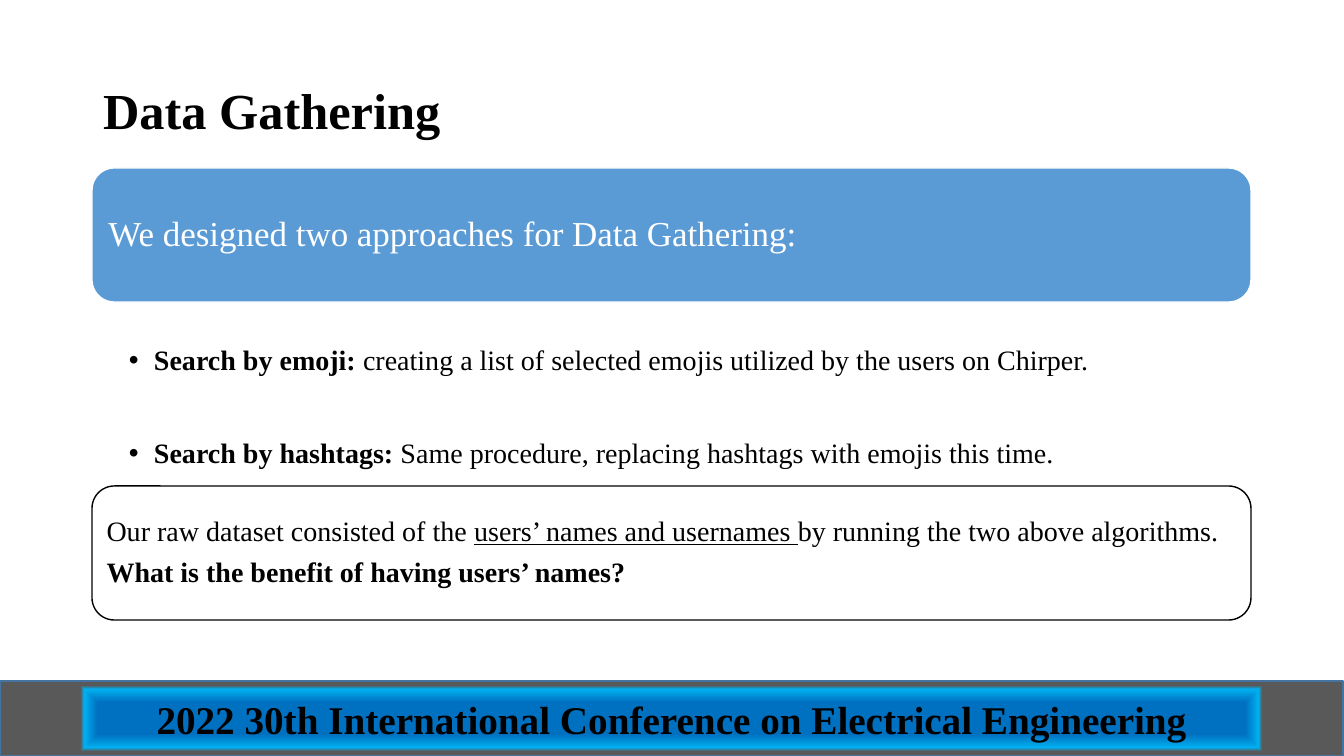
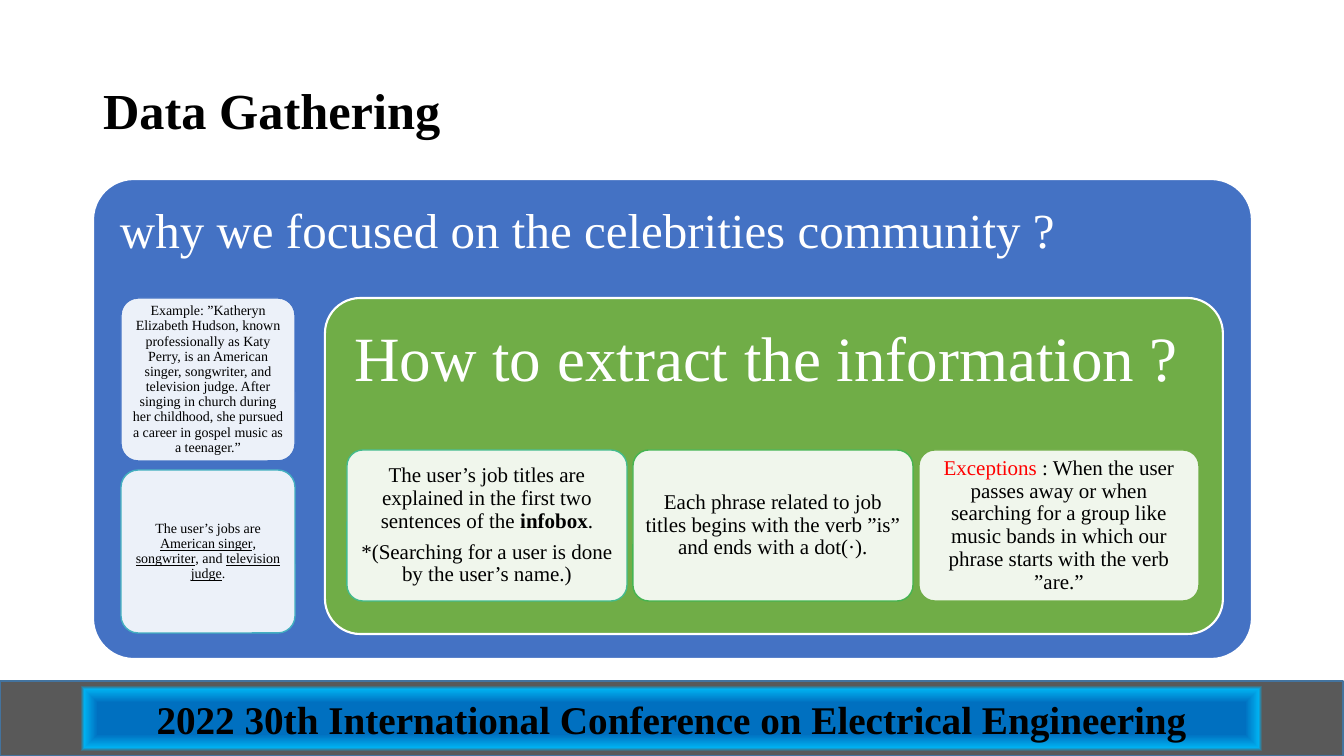
from dataclasses import dataclass
from lxml.etree import SubElement
from pptx import Presentation
from pptx.dml.color import RGBColor
from pptx.enum.shapes import MSO_SHAPE
from pptx.enum.text import MSO_ANCHOR, MSO_AUTO_SIZE, PP_ALIGN
from pptx.oxml import parse_xml
from pptx.oxml.ns import nsdecls, qn
from pptx.util import Pt


@dataclass(frozen=True)
class Theme:
    font: str = "Times New Roman"
    black: str = "000000"
    white: str = "FFFFFF"
    red: str = "FF0000"
    sky: str = "5B9BD5"
    blue: str = "4472C4"
    green: str = "70AD47"
    bar_line: str = "43739E"
    bar_stops: tuple = ((42, "0070C0"), (78, "00B0F0"), (88, "595959"))
    title: int = 36
    bar: int = 28
    lead: int = 25
    body: int = 20
    outer: int = 35
    inner: int = 45
    small: int = 10
    note: int = 15


T = Theme()
SCALE = 914400 / 100.8


def write(tf, paras, size, color=T.black, align=PP_ALIGN.LEFT, gap=0, spacing=0.9):
    for i, runs in enumerate(paras):
        p = tf.add_paragraph() if i else tf.paragraphs[0]
        p.alignment = align
        p.line_spacing = spacing
        p.space_before = Pt(gap if i else 0)
        p.space_after = Pt(0)
        for text, style in runs:
            r = p.add_run()
            r.text = text
            r.font.name = T.font
            r.font.size = Pt(size)
            r.font.bold = style == "bold"
            r.font.underline = style == "underline"
            r.font.color.rgb = RGBColor.from_string(T.red if style == "red" else color)


def panel(s, box, fill, line, width=1, inset=10, adj=None, alpha=None,
          anchor=MSO_ANCHOR.MIDDLE, shape=MSO_SHAPE.ROUNDED_RECTANGLE):
    sp = s.shapes.add_shape(shape, *[round(v * SCALE) for v in box])
    sp.shadow.inherit = False
    sp.fill.solid()
    sp.fill.fore_color.rgb = RGBColor.from_string(fill)
    if alpha:
        clr = sp._element.spPr.find(qn("a:solidFill")).find(qn("a:srgbClr"))
        SubElement(clr, qn("a:alpha")).set("val", str(alpha * 1000))
    sp.line.color.rgb = RGBColor.from_string(line)
    sp.line.width = Pt(width)
    if adj:
        sp.adjustments[0] = adj
    tf = sp.text_frame
    tf.word_wrap = True
    tf.vertical_anchor = anchor
    tf.margin_left = tf.margin_right = round(inset * SCALE)
    tf.margin_top = tf.margin_bottom = round(inset * SCALE)
    return sp


prs = Presentation()
prs.slide_width = round(1344 * SCALE)
prs.slide_height = round(756 * SCALE)
s1 = prs.slides.add_slide(prs.slide_layouts[1])
s2 = prs.slides.add_slide(prs.slide_layouts[5])

for s in (s1, s2):
    title = s.shapes.title
    title.left, title.top, title.width, title.height = [
        round(v * SCALE) for v in (93, 40, 1159, 146)]
    title.text_frame.vertical_anchor = MSO_ANCHOR.MIDDLE
    title.text_frame.auto_size = MSO_AUTO_SIZE.NONE
    write(title.text_frame, [[("Data Gathering", "bold")]], T.title)

sp = panel(s1, (92, 168, 1159, 134), T.sky, T.white)
write(sp.text_frame, [[("We designed two approaches for Data Gathering:", "")]], T.lead, T.white)

body = s1.placeholders[1]
body.left, body.top, body.width, body.height = [
    round(v * SCALE) for v in (92, 343, 1159, 122)]
tf = body.text_frame
tf.auto_size = MSO_AUTO_SIZE.NONE
tf.vertical_anchor = MSO_ANCHOR.TOP
tf.margin_left, tf.margin_top, tf.margin_right, tf.margin_bottom = [
    round(v * SCALE) for v in (37, 3, 16, 3)]
write(tf, [
    [("Search by emoji: ", "bold"),
     ("creating a list of selected emojis utilized by the users on Chirper.", "")],
    [("Search by hashtags:", "bold"),
     (" Same procedure, replacing hashtags with emojis this time.", "")],
], T.body, gap=45)
for p in tf.paragraphs:
    pPr = p._p.get_or_add_pPr()
    pPr.set("marL", str(round(25 * SCALE)))
    pPr.set("indent", str(round(-25 * SCALE)))

sp = panel(s1, (92, 486, 1159, 134), T.white, T.black, inset=8)
write(sp.text_frame, [
    [("Our raw dataset consisted of the ", ""), ("users’ names and usernames ", "underline"),
     ("by running the two above algorithms.", "")],
    [("What is the benefit of having users’ names?", "bold")],
], T.body, gap=8)

sp = panel(s2, (93, 179, 1159, 480), T.blue, T.white, 1.5, 15, 0.085, anchor=MSO_ANCHOR.TOP)
write(sp.text_frame, [[("why we focused on the celebrities community ?", "")]], T.outer, T.white)

examples = [
    ("4472C4", [("Example: ”Katheryn Elizabeth Hudson, known professionally as Katy Perry, "
                 "is an American singer, songwriter, and television judge. After singing in "
                 "church during her childhood, she pursued a career in gospel music as a "
                 "teenager.”", "")]),
    ("43AFC0", [("The user’s jobs are ", ""), ("American singer", "underline"), (", ", ""),
                ("songwriter", "underline"), (", and ", ""),
                ("television judge", "underline"), (".", "")]),
]
for i, (line, runs) in enumerate(examples):
    sp = panel(s2, (121, 298 + 172 * i, 174, 163), T.white, line, inset=4, adj=0.105, alpha=90)
    write(sp.text_frame, [runs], T.small, align=PP_ALIGN.CENTER)

sp = panel(s2, (325, 298, 898, 336), T.green, T.white, 1.5, 19, 0.105, anchor=MSO_ANCHOR.TOP)
write(sp.text_frame, [[("How to extract the information ?", "")]], T.inner, T.white)

rules = [
    ("43BB8D", [[("The user’s job titles are explained in the first two sentences of the ", ""),
                 ("infobox", "bold"), (".", "")],
                [("*(Searching for a user is done by the user’s name.)", "")]]),
    ("45B451", [[("Each phrase related to job titles begins with the verb ”is” "
                  "and ends with a dot(·).", "")]]),
    ("70AD47", [[("Exceptions", "red"),
                 (" : When the user passes away or when searching for a group like music "
                  "bands in which our phrase starts with the verb ”are.”", "")]]),
]
for i, (line, paras) in enumerate(rules):
    sp = panel(s2, (347 + 286 * i, 450, 280, 151), T.white, line, inset=6, adj=0.105, alpha=90)
    write(sp.text_frame, paras, T.note, align=PP_ALIGN.CENTER, gap=6)

stops = "".join(f'<a:gs pos="{pos * 1000}"><a:srgbClr val="{clr}"/></a:gs>'
                for pos, clr in T.bar_stops)
for s in (s1, s2):
    sp = panel(s, (0, 681, 1343, 75), T.white, T.bar_line, inset=5, shape=MSO_SHAPE.RECTANGLE)
    spPr = sp._element.spPr
    spPr.replace(spPr.find(qn("a:solidFill")), parse_xml(
        f'<a:gradFill {nsdecls("a")} rotWithShape="1"><a:gsLst>{stops}</a:gsLst>'
        '<a:path path="shape"><a:fillToRect l="50000" t="50000" r="50000" b="50000"/></a:path>'
        '</a:gradFill>'))
    write(sp.text_frame, [[("2022 30th International Conference on Electrical Engineering", "bold")]],
          T.bar, align=PP_ALIGN.CENTER, spacing=1.0)

prs.save("out.pptx")
